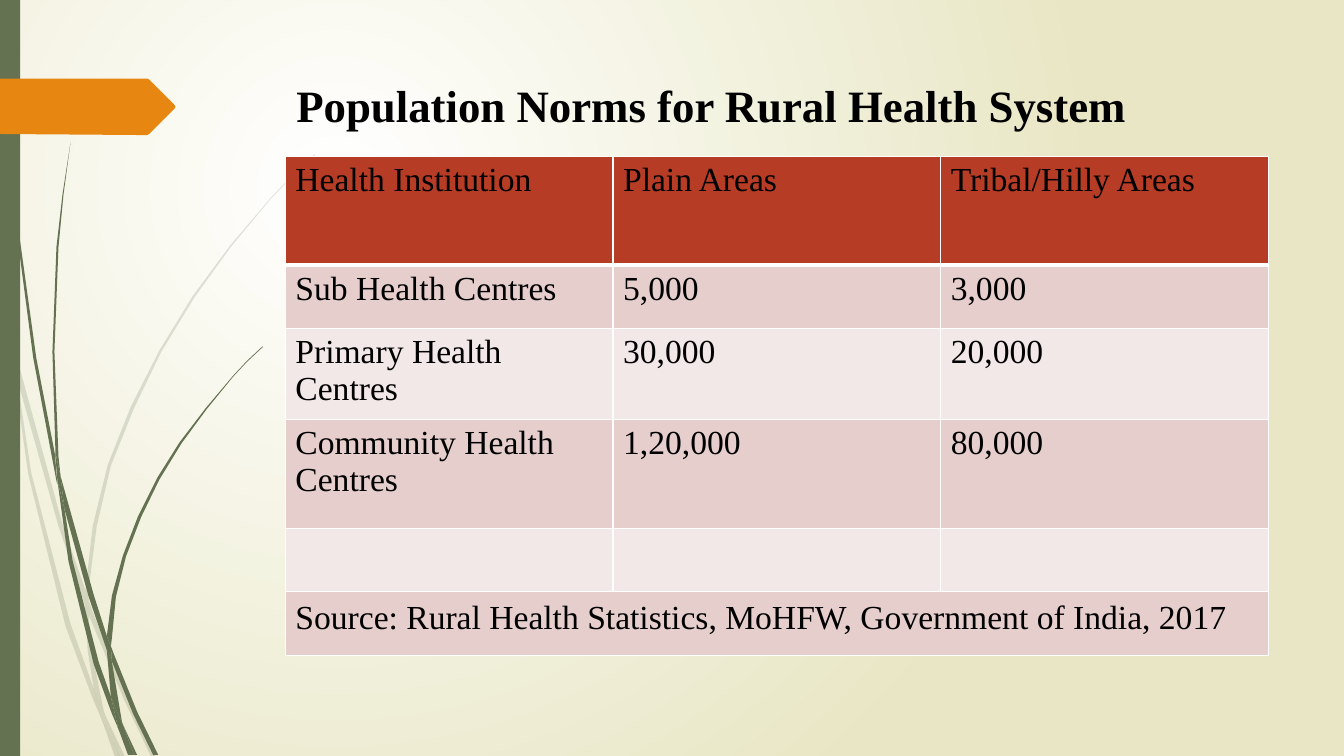
from lxml import etree
from pptx import Presentation
from pptx import util as u
from pptx.dml.color import RGBColor
from pptx.enum import shapes, text
from pptx.oxml import ns

THEME = {
    "green": "647252", "orange": "E78712", "black": "000000", "white": "FFFFFF",
    "sand": "E8E6C4", "header": "B73C26", "bands": ("E6CECD", "F3E8E8"),
    "font": "Times New Roman", "title": 32, "body": 24,
}

# Outlines of the grass blades, as x, y pairs in inches
PALE_BLADES = [
    "0.11,3.5 0.09,3.22 0,2.82 0,2.99 0.1,3.44",
    "0.58,5.22 0.84,5.99 0.85,5.86 0.62,5.2 0.14,3.45 0.17,3.76",
    "0.92,6.07 0.88,5.96 0.88,6.1 1.23,6.94 1.5,7.51 1.55,7.51 1.27,6.92",
    "1.19,7.51 1.24,7.51 1.05,7.11",
    "0.93,6.83 0.7,6.19 0.31,4.69 0.17,3.76 0.11,3.5 0.28,4.7 0.65,6.21 0.92,6.93 1.01,7.14 0.99,7.07",
    "0.84,5.99 0.87,6.46 0.93,6.83 0.96,6.92 1.05,7.11 1.03,7.06 0.91,6.46 0.88,6.1 0.88,6.08",
    "0.88,5.84 0.96,5.22 1.1,4.62 1.33,4.05 1.6,3.49 1.93,2.95 2.29,2.45 2.68,1.98 2.9,1.75 3.12,1.54 "
    "3.12,1.53 2.89,1.75 2.68,1.97 2.28,2.44 1.91,2.94 1.58,3.48 1.3,4.03 1.07,4.61 0.92,5.22 "
    "0.85,5.84 0.85,5.86 0.88,5.96",
    "1.01,7.14 1.14,7.51 1.19,7.51",
    "0.88,6.08 0.88,6.1 0.88,5.96 0.85,5.86 0.84,5.99",
    "0.96,6.92 0.93,6.83 0.99,7.07 1.01,7.14 1.19,7.51 1.05,7.11",
]
DARK_BLADES = [
    "0.07,1.1 0.17,2.33 0.33,3.55 0.56,4.77 0.57,4.81 0.55,4.57 0.55,4.53 0.36,3.55 0.19,2.32 "
    "0.08,1.09 0.05,0.48 0.04,0 0.03,0 0.04,0.48",
    "0.88,5.92 1.06,6.45 1.06,6.33 1.06,6.31 0.93,5.9 0.6,4.72 0.64,5.05",
    "1.13,6.49 1.1,6.41 1.11,6.56 1.32,7.08 1.52,7.49 1.57,7.49 1.36,7.06",
    "1.1,6.91 0.98,6.57 0.72,5.56 0.64,5.05 0.57,4.77 0.68,5.57 0.93,6.59 1.11,7.08 1.17,7.22 1.16,7.17",
    "0.6,4.72 0.58,4.53 0.54,3.49 0.58,2.45 0.63,1.93 0.7,1.41 0.62,1.93 0.56,2.45 0.52,3.49 0.55,4.49",
    "1.33,7.49 1.36,7.49 1.22,7.19",
    "0.57,4.77 0.64,5.05 0.6,4.72 0.55,4.49 0.55,4.53",
    "1.11,6.33 1.15,5.92 1.25,5.52 1.4,5.13 1.58,4.76 1.8,4.4 2.05,4.06 2.31,3.74 2.45,3.59 2.61,3.44 "
    "2.6,3.44 2.45,3.58 2.31,3.73 2.04,4.05 1.78,4.39 1.56,4.74 1.37,5.12 1.22,5.51 1.11,5.91 1.06,6.31 1.1,6.41",
    "1.17,7.22 1.27,7.49 1.31,7.49",
    "1.06,6.45 1.1,6.91 1.16,7.06 1.22,7.19 1.21,7.16 1.11,6.56 1.09,6.51",
    "1.06,6.45 1.09,6.51 1.11,6.56 1.1,6.41 1.06,6.31 1.06,6.33",
    "1.16,7.06 1.1,6.91 1.16,7.17 1.17,7.22 1.3,7.49 1.33,7.49 1.22,7.19",
]
ARROW = "1.74,1.06 1.73,1.08 1.48,1.33 1.46,1.34 1.36,1.34 0,1.33 0,0.78 1.46,0.78 1.48,0.79 1.73,1.04"

ROWS = [
    ("Health Institution", "Plain Areas", "Tribal/Hilly Areas"),
    ("Sub Health Centres", "5,000", "3,000"),
    ("Primary Health Centres", "30,000", "20,000"),
    ("Community Health Centres", "1,20,000", "80,000"),
    ("", "", ""),
    ("Source: Rural Health Statistics, MoHFW, Government of India, 2017", "", ""),
]
ROW_HEIGHTS = (1.08, 0.63, 0.63, 1.08, 0.63, 0.63)


def paint(sp, color, alpha=None):
    sp.shadow.inherit = False
    sp.fill.solid()
    sp.fill.fore_color.rgb = RGBColor.from_string(color)
    sp.line.fill.background()
    if alpha:
        clr = sp._element.spPr.find(".//" + ns.qn("a:srgbClr"))
        etree.SubElement(clr, ns.qn("a:alpha"), val=str(alpha * 1000))


def write(p, words, size, bold=False):
    r = p.add_run()
    r.text = words
    style = {"name": THEME["font"], "size": u.Pt(size), "bold": bold}
    for key, value in style.items():
        setattr(r.font, key, value)
    r.font.color.rgb = RGBColor.from_string(THEME["black"])


prs = Presentation()
prs.slide_width, prs.slide_height = u.Inches(13.33), u.Inches(7.5)
s = prs.slides.add_slide(prs.slide_layouts[6])

# Background: radial glow, upper left
fill = s.background.fill
fill.gradient()
for stop, color, pos in zip(fill.gradient_stops, (THEME["white"], THEME["sand"]), (0, 1)):
    stop.color.rgb = RGBColor.from_string(color)
    stop.position = pos
lin = s._element.find(".//" + ns.qn("a:lin"))
glow = etree.Element(ns.qn("a:path"), path="circle")
etree.SubElement(glow, ns.qn("a:fillToRect"), l="50000", t="50000", r="100000", b="100000")
lin.getparent().replace(lin, glow)

# Grass blades, side bar and arrow
art = [(blade, "green", 20) for blade in PALE_BLADES]
art += [(blade, "green", None) for blade in DARK_BLADES]
art += [(None, "green", None), (ARROW, "orange", None)]
for outline, color, alpha in art:
    if outline:
        points = [tuple(u.Inches(float(n)) for n in pair.split(",")) for pair in outline.split()]
        builder = s.shapes.build_freeform(*points[0])
        builder.add_line_segments(points[1:], close=True)
        sp = builder.convert_to_shape()
    else:
        sp = s.shapes.add_shape(shapes.MSO_SHAPE.RECTANGLE, 0, 0, u.Inches(0.2), prs.slide_height)
    paint(sp, THEME[color], alpha)

# Title
sp = s.shapes.add_textbox(u.Inches(2.84), u.Inches(0.68), u.Inches(9.75), u.Inches(0.77))
tf = sp.text_frame
frame = {"word_wrap": True, "vertical_anchor": text.MSO_ANCHOR.TOP, "margin_top": u.Inches(0.09)}
for key, value in frame.items():
    setattr(tf, key, value)
write(tf.paragraphs[0], "Population Norms for Rural Health System", THEME["title"], bold=True)

# Table of norms
table = s.shapes.add_table(len(ROWS), 3, u.Inches(2.83), u.Inches(1.55),
                           u.Inches(9.75), u.Inches(sum(ROW_HEIGHTS))).table
for col in table.columns:
    col.width = u.Inches(3.25)
for i, (words, height) in enumerate(zip(ROWS, ROW_HEIGHTS)):
    table.rows[i].height = u.Inches(height)
    for j, word in enumerate(words):
        cell = table.cell(i, j)
        if word:
            write(cell.text_frame.paragraphs[0], word, THEME["body"])
        tc_pr = cell._tc.get_or_add_tcPr()
        for side in ("L", "R", "T", "B"):
            width = 3 if (i, side) == (0, "B") else 1
            ln = etree.SubElement(tc_pr, ns.qn("a:ln" + side), w=str(u.Pt(width)))
            solid = etree.SubElement(ln, ns.qn("a:solidFill"))
            etree.SubElement(solid, ns.qn("a:srgbClr"), val=THEME["white"])
        cell.fill.solid()
        cell.fill.fore_color.rgb = RGBColor.from_string(
            THEME["bands"][(i - 1) % 2] if i else THEME["header"])

# Source row across the full width
source = table.cell(len(ROWS) - 1, 0)
source.merge(table.cell(len(ROWS) - 1, 2))
source.text_frame.paragraphs[0].line_spacing = 1.07

prs.save("out.pptx")
